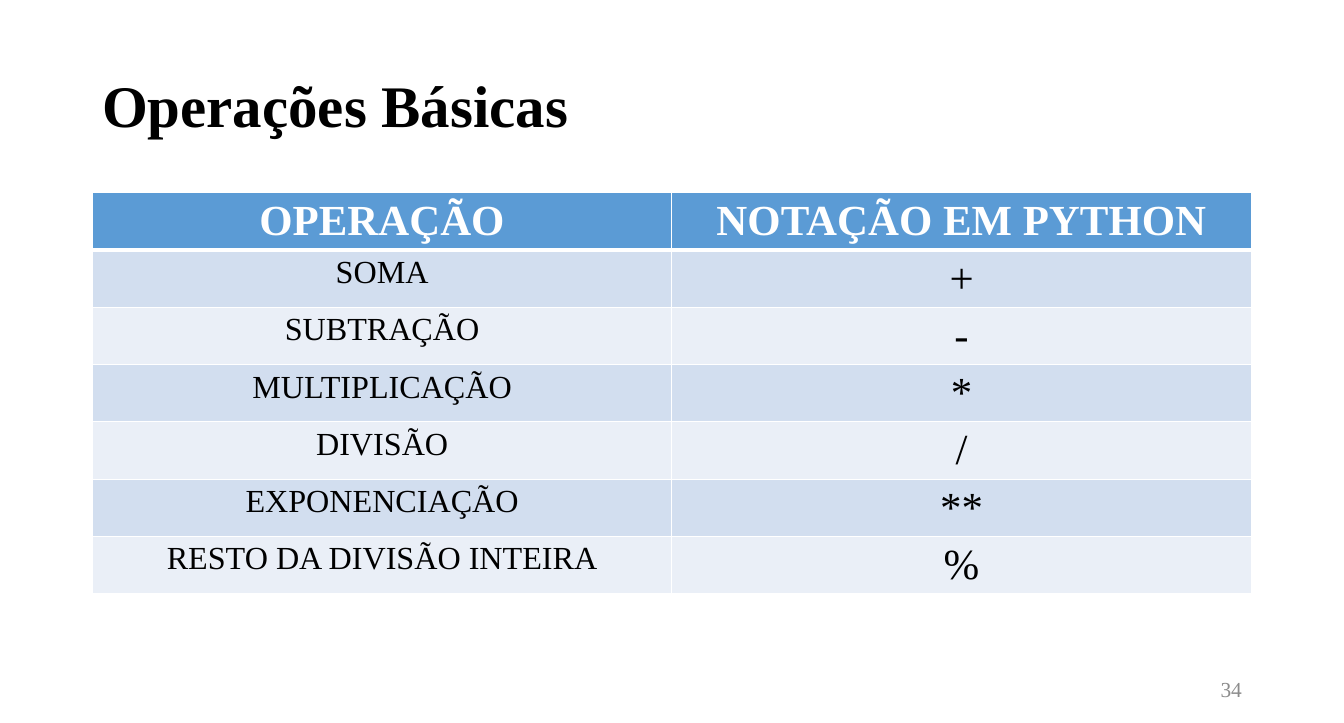
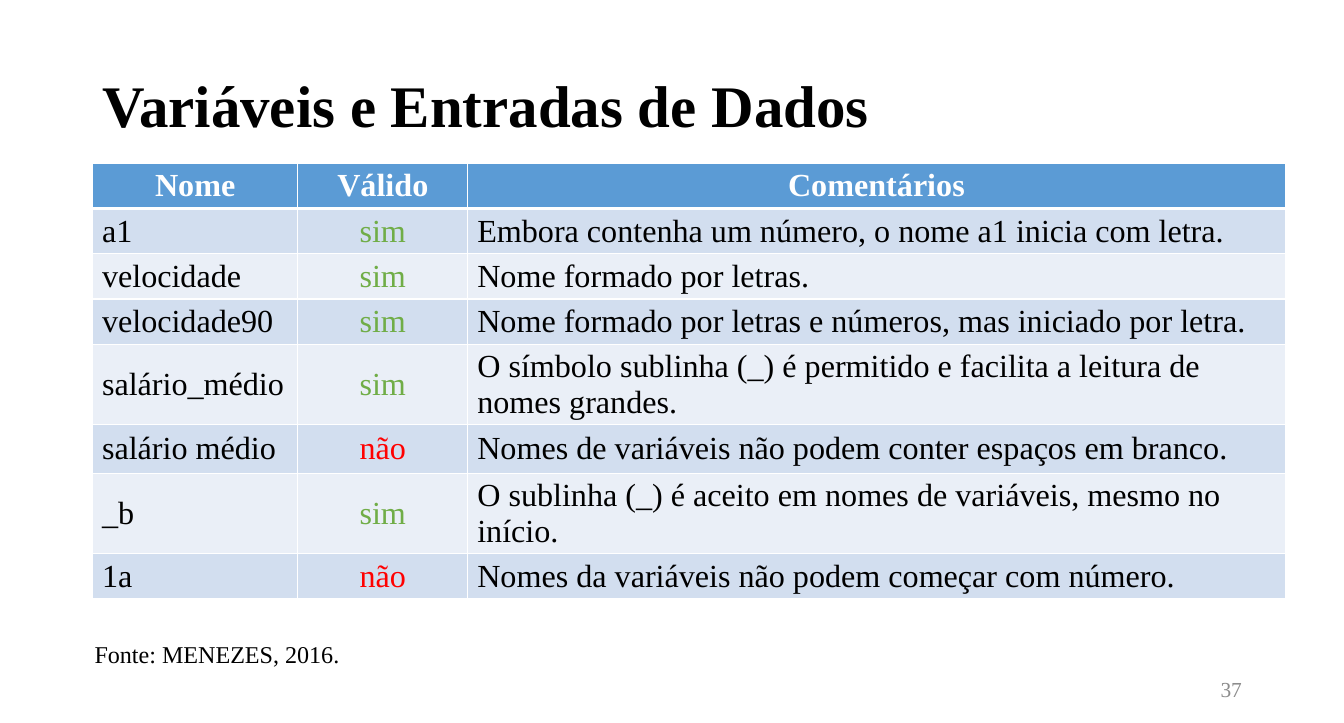
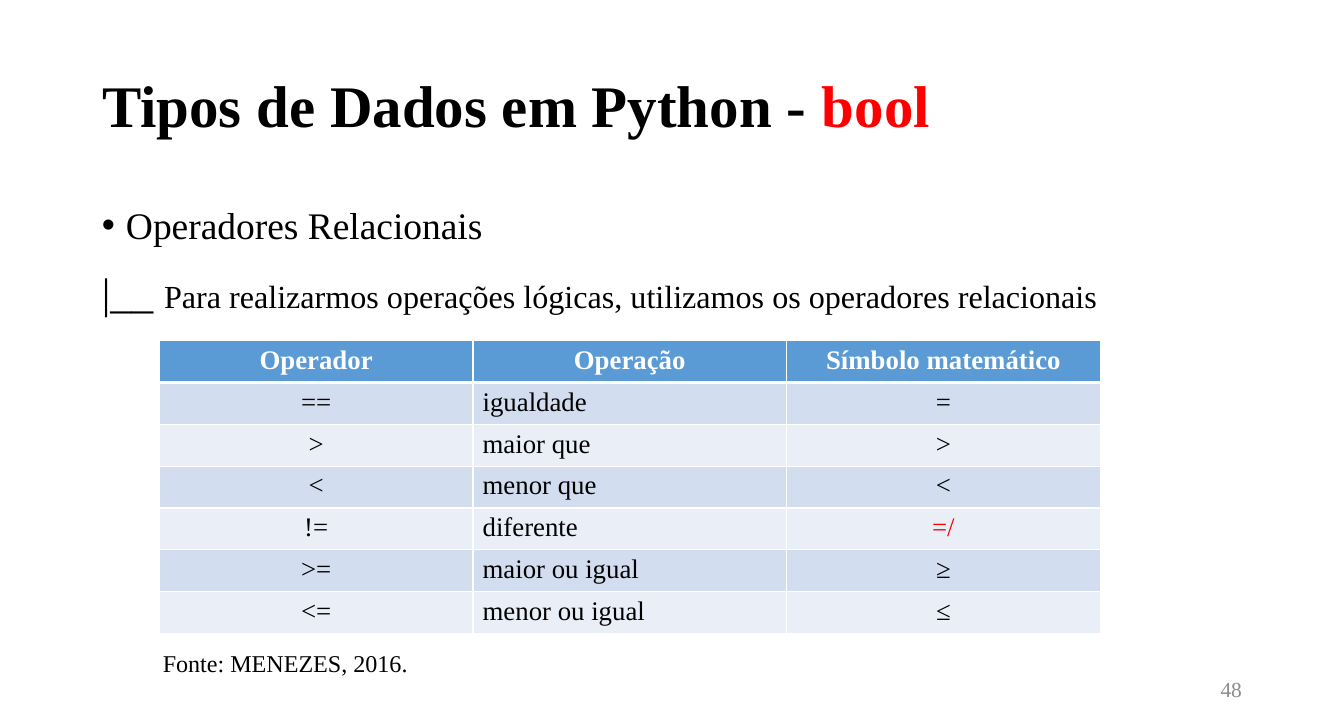
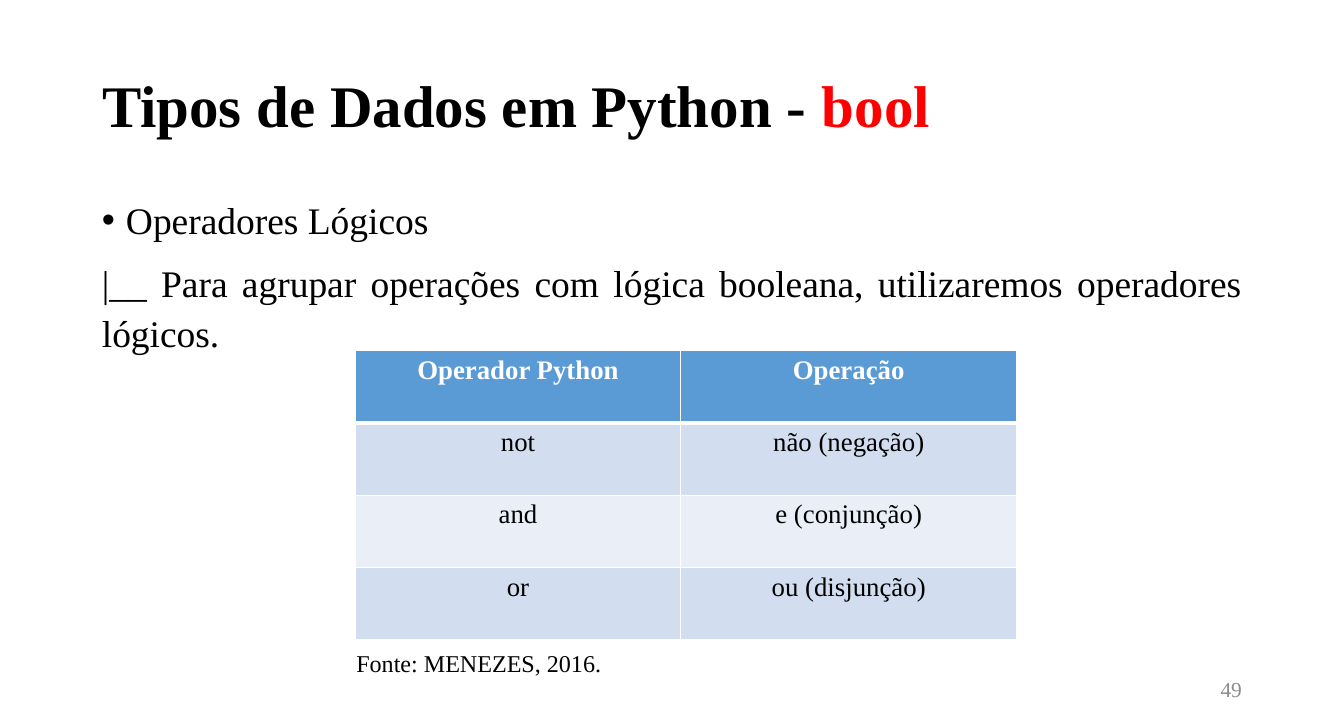
from lxml import etree
from pptx import Presentation
from pptx.dml.color import RGBColor
from pptx.enum import text as tx
from pptx.oxml.ns import qn
from pptx.util import Pt

# Shared look
FONT = "Times New Roman"
BLACK, WHITE, RED, GREEN, GREY = "000000", "FFFFFF", "FF0000", "70AD47", "8C8C8C"
HEADER, BANDS = "5B9BD5", ("D2DEEF", "EAEFF7")
WORD_COLORS = {"sim": GREEN, "não": RED, "=/": RED}
ALIGN = {"l": tx.PP_ALIGN.LEFT, "c": tx.PP_ALIGN.CENTER,
         "r": tx.PP_ALIGN.RIGHT, "j": tx.PP_ALIGN.JUSTIFY}
TOP, MIDDLE = tx.MSO_ANCHOR.TOP, tx.MSO_ANCHOR.MIDDLE
LEFT, WIDTH = 69, 865.5
TITLE_BOX = (LEFT, 29, WIDTH, 104.5)
NUMBER_BOX = (708.5, 500.5, 226, 28.75)
SOURCE = "Fonte: MENEZES, 2016."
BOOL_TITLE = [("Tipos de Dados em Python - ", BLACK), ("bool", RED)]

# Content: body lines are lists of (text, size); the first line has a bullet
SLIDES = [
    dict(
        title=[("Operações Básicas", BLACK)], number=34,
        table=dict(
            at=(LEFT, 144), cols=(432.75, 432.75), heights=[42.7] * 7,
            align="cc", sizes=(24, 32), header_size=32, anchor=TOP,
            rows=[
                ("OPERAÇÃO", "NOTAÇÃO EM PYTHON"),
                ("SOMA", "+"),
                ("SUBTRAÇÃO", "-"),
                ("MULTIPLICAÇÃO", "*"),
                ("DIVISÃO", "/"),
                ("EXPONENCIAÇÃO", "**"),
                ("RESTO DA DIVISÃO INTEIRA", "%"),
            ]),
    ),
    dict(
        title=[("Variáveis e Entradas de Dados", BLACK)], number=37,
        source=(63.5, 474, 651.5),
        table=dict(
            at=(LEFT, 122), cols=(153.5, 126.75, 610.5),
            heights=[33.7, 33.7, 33.7, 33.7, 60.3, 36, 60.3, 33.7],
            align="lcl", sizes=(24, 24, 24), header_size=24, anchor=MIDDLE,
            rows=[
                ("Nome", "Válido", "Comentários"),
                ("a1", "sim", "Embora contenha um número, o nome a1 inicia com letra."),
                ("velocidade", "sim", "Nome formado por letras."),
                ("velocidade90", "sim",
                 "Nome formado por letras e números, mas iniciado por letra."),
                ("salário_médio", "sim",
                 "O símbolo sublinha (_) é permitido e facilita a leitura de nomes grandes."),
                ("salário médio", "não",
                 "Nomes de variáveis não podem conter espaços em branco."),
                ("_b", "sim",
                 "O sublinha (_) é aceito em nomes de variáveis, mesmo no início."),
                ("1a", "não", "Nomes da variáveis não podem começar com número."),
            ]),
    ),
    dict(
        title=BOOL_TITLE, number=48, source=(114.5, 481, 438), body_top=144,
        body=[
            [("Operadores Relacionais", 28)],
            [("|__ ", 32),
             ("Para realizarmos operações lógicas, utilizamos os operadores relacionais", 24)],
        ],
        table=dict(
            at=(119, 254.5), cols=(234.25, 234.25, 234.25), heights=[30.1] * 7,
            align="clc", sizes=(20, 20, 20), header_size=20, anchor=TOP,
            rows=[
                ("Operador", "Operação", "Símbolo matemático"),
                ("==", "igualdade", "="),
                (">", "maior que", ">"),
                ("<", "menor que", "<"),
                ("!=", "diferente", "=/"),
                (">=", "maior ou igual", "≥"),
                ("<=", "menor ou igual", "≤"),
            ]),
    ),
    dict(
        title=BOOL_TITLE, number=49, source=(259, 481, 337), body_top=140.5,
        body=[
            [("Operadores Lógicos", 28)],
            [("|__ Para agrupar operações com lógica booleana, "
              "utilizaremos operadores lógicos.", 28)],
        ],
        table=dict(
            at=(265.25, 262), cols=(243.25, 250.75), heights=[53.9] * 4,
            align="cc", sizes=(20, 20), header_size=20, anchor=TOP,
            rows=[
                ("Operador Python", "Operação"),
                ("not", "não (negação)"),
                ("and", "e (conjunção)"),
                ("or", "ou (disjunção)"),
            ]),
    ),
]


def rgb(value):
    return RGBColor.from_string(value)


def add_run(paragraph, words, size, color=BLACK, bold=False):
    run = paragraph.add_run()
    run.text = words
    for key, value in dict(name=FONT, size=Pt(size), bold=bold).items():
        setattr(run.font, key, value)
    run.font.color.rgb = rgb(color)


def add_box(slide, box, anchor=TOP):
    frame = slide.shapes.add_textbox(*map(Pt, box)).text_frame
    frame.word_wrap = True
    frame.vertical_anchor = anchor
    return frame


def add_line(slide, box, words, size, color=BLACK, align="l", anchor=TOP):
    paragraph = add_box(slide, box, anchor).paragraphs[0]
    paragraph.alignment = ALIGN[align]
    add_run(paragraph, words, size, color)


def set_title(slide, parts):
    title = slide.shapes.title
    for key, value in zip(("left", "top", "width", "height"), TITLE_BOX):
        setattr(title, key, Pt(value))
    frame = title.text_frame
    frame.auto_size = tx.MSO_AUTO_SIZE.NONE
    frame.vertical_anchor = MIDDLE
    paragraph = frame.paragraphs[0]
    paragraph.alignment = ALIGN["j"]
    paragraph.line_spacing = 0.9
    for words, color in parts:
        add_run(paragraph, words, 44, color, bold=True)


def add_bullet(paragraph, indent=18):
    props = paragraph._p.get_or_add_pPr()
    props.set("marL", str(Pt(indent)))
    props.set("indent", str(-Pt(indent)))
    etree.SubElement(props, qn("a:buFont"), typeface="Arial")
    etree.SubElement(props, qn("a:buChar"), char="•")


def add_body(slide, top, lines):
    frame = add_box(slide, (LEFT, top, WIDTH, 342.75))
    for i, parts in enumerate(lines):
        paragraph = frame.add_paragraph() if i else frame.paragraphs[0]
        paragraph.alignment = ALIGN["j"]
        paragraph.line_spacing = 1.1
        paragraph.space_before = Pt(10)
        if i == 0:
            add_bullet(paragraph)
        for words, size in parts:
            add_run(paragraph, words, size)


def set_borders(cell, top, bottom):
    props = cell._tc.get_or_add_tcPr()
    for side, width in (("L", 1), ("R", 1), ("T", top), ("B", bottom)):
        line = etree.SubElement(props, qn("a:ln" + side), w=str(Pt(width)))
        fill = etree.SubElement(line, qn("a:solidFill"))
        etree.SubElement(fill, qn("a:srgbClr"), val=WHITE)


def add_grid(slide, at, cols, heights, align, sizes, header_size, anchor, rows):
    box = (*at, sum(cols), sum(heights))
    grid = slide.shapes.add_table(len(rows), len(cols), *map(Pt, box)).table
    grid.horz_banding = False
    for column, width in zip(grid.columns, cols):
        column.width = Pt(width)
    for r, (row, height) in enumerate(zip(rows, heights)):
        grid.rows[r].height = Pt(height)
        header = r == 0
        for c, words in enumerate(row):
            cell = grid.cell(r, c)
            set_borders(cell, top=3 if r == 1 else 1, bottom=3 if header else 1)
            cell.fill.solid()
            cell.fill.fore_color.rgb = rgb(HEADER if header else BANDS[(r - 1) % 2])
            cell.vertical_anchor = anchor
            paragraph = cell.text_frame.paragraphs[0]
            paragraph.alignment = ALIGN["c" if header else align[c]]
            color = WHITE if header else WORD_COLORS.get(words, BLACK)
            add_run(paragraph, words, header_size if header else sizes[c], color, header)


def main():
    deck = Presentation()
    deck.slide_width, deck.slide_height = Pt(1003.68), Pt(540)
    for content in SLIDES:
        slide = deck.slides.add_slide(deck.slide_layouts[5])
        set_title(slide, content["title"])
        if "body" in content:
            add_body(slide, content["body_top"], content["body"])
        add_grid(slide, **content["table"])
        add_line(slide, NUMBER_BOX, str(content["number"]), 16, GREY, "r", MIDDLE)
        if "source" in content:
            add_line(slide, (*content["source"], 29), SOURCE, 18)
    deck.save("out.pptx")


if __name__ == "__main__":
    main()
